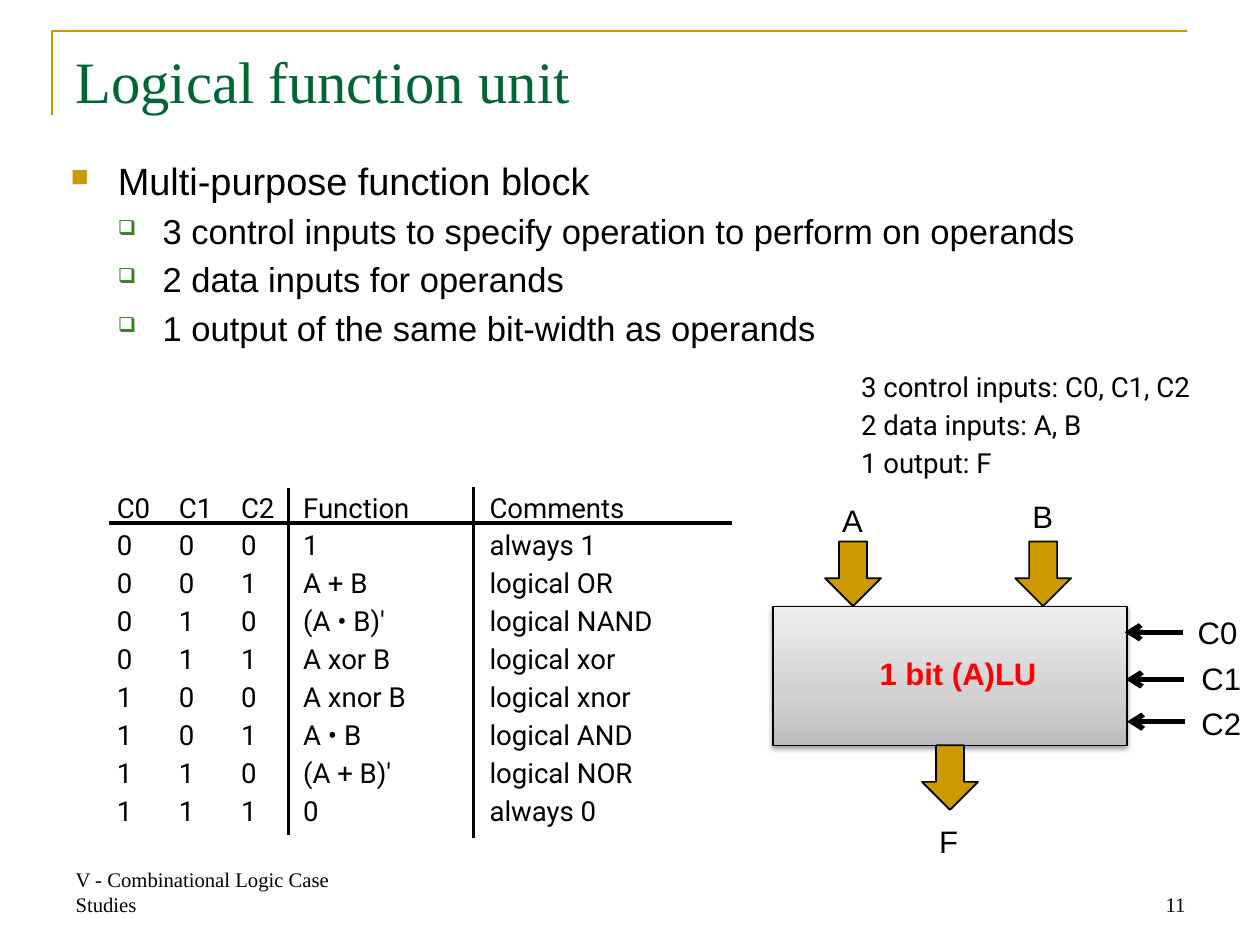
from dataclasses import dataclass

from lxml.etree import SubElement
from pptx import Presentation
from pptx.dml.color import RGBColor
from pptx.enum.shapes import MSO_CONNECTOR, MSO_SHAPE
from pptx.enum.text import MSO_ANCHOR, PP_ALIGN
from pptx.oxml.ns import qn
from pptx.util import Emu, Pt

EMU_PER_PX = 9144  # 100 px to the inch
BLACK, GOLD, GREEN, RED = "000000", "CC9900", "006633", "FF0000"
SERIF, SANS, TABLE_FONT = "Times New Roman", "Arial", "Roboto"


@dataclass(frozen=True)
class Style:
    font: str
    size: int
    color: str = BLACK
    bold: bool = False


@dataclass(frozen=True)
class Area:
    left: int
    top: int
    width: int
    height: int


@dataclass(frozen=True)
class Level:
    style: Style
    bullet: str
    color: str
    percent: int
    margin: int
    hanging: int


@dataclass(frozen=True)
class Label:
    text: str
    area: Area
    style: Style = Style(SANS, 18)


@dataclass(frozen=True)
class Line:
    start: tuple[int, int]
    end: tuple[int, int]
    width: int = 2
    arrow: bool = False


TOP_LEVEL = Level(Style(SANS, 22), "■", GOLD, 65, 38, 38)
SUB_LEVEL = Level(Style(SANS, 20), "❑", "3B812F", 60, 74, 36)
BULLETS = [
    (TOP_LEVEL, "Multi-purpose function block"),
    (SUB_LEVEL, "3 control inputs to specify operation to perform on operands"),
    (SUB_LEVEL, "2 data inputs for operands"),
    (SUB_LEVEL, "1 output of the same bit-width as operands"),
]
FUNCTIONS = [
    ("1", "always 1"),
    ("A + B", "logical OR"),
    ("(A • B)'", "logical NAND"),
    ("A xor B", "logical xor"),
    ("A xnor B", "logical xnor"),
    ("A • B", "logical AND"),
    ("(A + B)'", "logical NOR"),
    ("0", "always 0"),
]
TRUTH_TABLE = ["C0\tC1\tC2\tFunction\tComments"] + [
    "\t".join([*f"{code:03b}", *function]) for code, function in enumerate(FUNCTIONS)
]
SUMMARY = ["3 control inputs: C0, C1, C2", "2 data inputs: A, B", "1 output: F"]
UNIT = Area(622, 488, 285, 112)
DATA_ARROWS = [(664, 436), (817, 436), (742, 600)]
LABELS = [
    Label("A", Area(668, 399, 37, 40)),
    Label("B", Area(821, 396, 37, 40)),
    Label("F", Area(746, 657, 37, 40)),
    Label("C0", Area(954, 489, 52, 40)),
    Label("C1", Area(957, 526, 52, 40)),
    Label("C2", Area(957, 562, 52, 40)),
    Label("1 bit (A)LU", Area(698, 522, 148, 40), Style(SANS, 18, RED, True)),
]
TABLE_RULES = [
    Line((88, 421), (589, 421)),
    Line((232, 393), (232, 672)),
    Line((381, 392), (381, 675)),
]
CONTROL_ARROWS = [
    Line((952 + step, y), (905 + step, y), 3, True) for step, y in enumerate((509, 547, 581))
]


def px(length: int) -> Emu:
    return Emu(length * EMU_PER_PX)


def rgb(color: str) -> RGBColor:
    return RGBColor.from_string(color)


def place(area: Area) -> tuple[Emu, Emu, Emu, Emu]:
    return px(area.left), px(area.top), px(area.width), px(area.height)


def add_box(page, area: Area, wrap: bool = True, anchor=MSO_ANCHOR.TOP):
    """Add an empty text box and return its text frame."""
    frame = page.shapes.add_textbox(*place(area)).text_frame
    frame.word_wrap = wrap
    frame.vertical_anchor = anchor
    return frame


def add_span(para, text: str, style: Style) -> None:
    span = para.add_run()
    span.text = text
    span.font.name, span.font.size, span.font.bold = style.font, Pt(style.size), style.bold
    span.font.color.rgb = rgb(style.color)


def add_tabbed_lines(page, area: Area, lines: list[str], stops: list[int]) -> None:
    """Add one paragraph of broken lines, with left tab stops in px."""
    frame = add_box(page, area, wrap=False)
    frame.margin_left = frame.margin_right = px(2)
    frame.margin_top = frame.margin_bottom = px(3)
    para = frame.paragraphs[0]
    para.line_spacing = Pt(22)
    tabs = SubElement(para._p.get_or_add_pPr(), qn("a:tabLst"))
    for stop in stops:
        SubElement(tabs, qn("a:tab"), pos=str(px(stop)), algn="l")
    for index, line in enumerate(lines):
        if index:
            para.add_line_break()
        add_span(para, line, Style(TABLE_FONT, 16))


def add_bullets(page, area: Area) -> None:
    frame = add_box(page, area)
    for index, (level, text) in enumerate(BULLETS):
        para = frame.add_paragraph() if index else frame.paragraphs[0]
        para.level = int(level is SUB_LEVEL)
        para.space_before = Pt(level.style.size * 0.2)
        properties = para._p.get_or_add_pPr()
        properties.set("marL", str(px(level.margin)))
        properties.set("indent", str(px(-level.hanging)))
        SubElement(SubElement(properties, qn("a:buClr")), qn("a:srgbClr"), val=level.color)
        SubElement(properties, qn("a:buSzPct"), val=str(level.percent * 1000))
        SubElement(properties, qn("a:buChar"), char=level.bullet)
        add_span(para, text, level.style)


def add_line(page, line: Line) -> None:
    ends = [px(value) for value in (*line.start, *line.end)]
    connector = page.shapes.add_connector(MSO_CONNECTOR.STRAIGHT, *ends)
    connector.line.color.rgb = rgb(BLACK)
    connector.line.width = Pt(line.width)
    if line.arrow:
        SubElement(connector.line._get_or_add_ln(), qn("a:tailEnd"), type="arrow")
    SubElement(connector._element.spPr, qn("a:effectLst"))


def add_outlined(page, kind: MSO_SHAPE, area: Area, width: float):
    shape = page.shapes.add_shape(kind, *place(area))
    shape.shadow.inherit = False
    shape.line.color.rgb = rgb(BLACK)
    shape.line.width = Pt(width)
    return shape


def add_unit(page) -> None:
    """Add the logic unit: a grey gradient block with a soft shadow."""
    unit = add_outlined(page, MSO_SHAPE.RECTANGLE, UNIT, 0.75)
    unit.fill.gradient()
    unit.fill.gradient_angle = 90
    properties = unit._element.spPr
    stops = properties.find(".//" + qn("a:gsLst"))
    stops.clear()
    for percent, color in ((0, "BDBDBD"), (35, "D1D1D1"), (100, "EEEEEE")):
        stop = SubElement(stops, qn("a:gs"), pos=str(percent * 1000))
        SubElement(stop, qn("a:srgbClr"), val=color)
    shadow = SubElement(properties.find(qn("a:effectLst")), qn("a:outerShdw"),
                        blurRad=str(Pt(3.1)), dist=str(Pt(1.6)), dir="5400000", rotWithShape="0")
    SubElement(SubElement(shadow, qn("a:srgbClr"), val=BLACK), qn("a:alpha"), val="38000")


def add_frame(page) -> None:
    builder = page.shapes.build_freeform(px(42), px(93))
    builder.add_line_segments([(px(42), px(25)), (px(955), px(25))], close=False)
    frame = builder.convert_to_shape()
    frame.shadow.inherit = False
    frame.fill.background()
    frame.line.color.rgb = rgb(GOLD)
    frame.line.width = Pt(1.5)


def main() -> None:
    deck = Presentation()
    deck.slide_width, deck.slide_height = px(1014), px(760)
    page = deck.slides.add_slide(deck.slide_layouts[6])
    add_frame(page)
    for text, left, align in (("V - Combinational Logic Case Studies", 51, PP_ALIGN.LEFT),
                              ("11", 727, PP_ALIGN.RIGHT)):
        para = add_box(page, Area(left, 692, 237, 51), anchor=MSO_ANCHOR.BOTTOM).paragraphs[0]
        para.alignment = align
        add_span(para, text, Style(SERIF, 12))
    add_tabbed_lines(page, Area(92, 388, 503, 294), TRUTH_TABLE, [50, 100, 150, 300])
    add_tabbed_lines(page, Area(691, 291, 335, 133), SUMMARY, [50, 100, 150])
    title = add_box(page, Area(51, 31, 912, 126))
    add_span(title.paragraphs[0], "Logical function unit", Style(SERIF, 34, GREEN))
    add_bullets(page, Area(47, 122, 912, 502))
    add_unit(page)
    for left, top in DATA_ARROWS:
        arrow = add_outlined(page, MSO_SHAPE.DOWN_ARROW, Area(left, top, 45, 52), 1)
        arrow.fill.solid()
        arrow.fill.fore_color.rgb = rgb(GOLD)
    for line in TABLE_RULES + CONTROL_ARROWS:
        add_line(page, line)
    for label in LABELS:
        add_span(add_box(page, label.area, wrap=False).paragraphs[0], label.text, label.style)
    deck.save("out.pptx")


if __name__ == "__main__":
    main()
